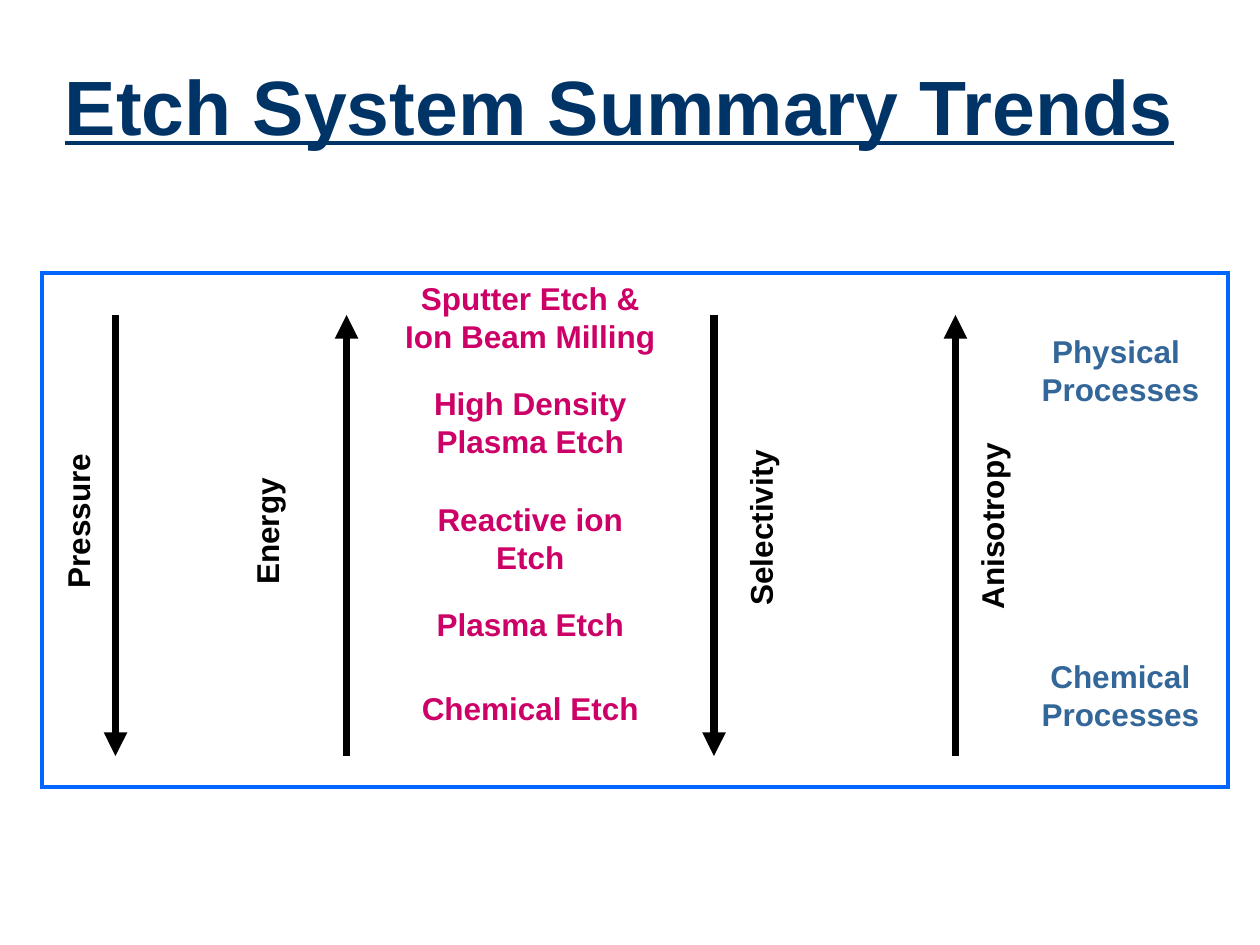
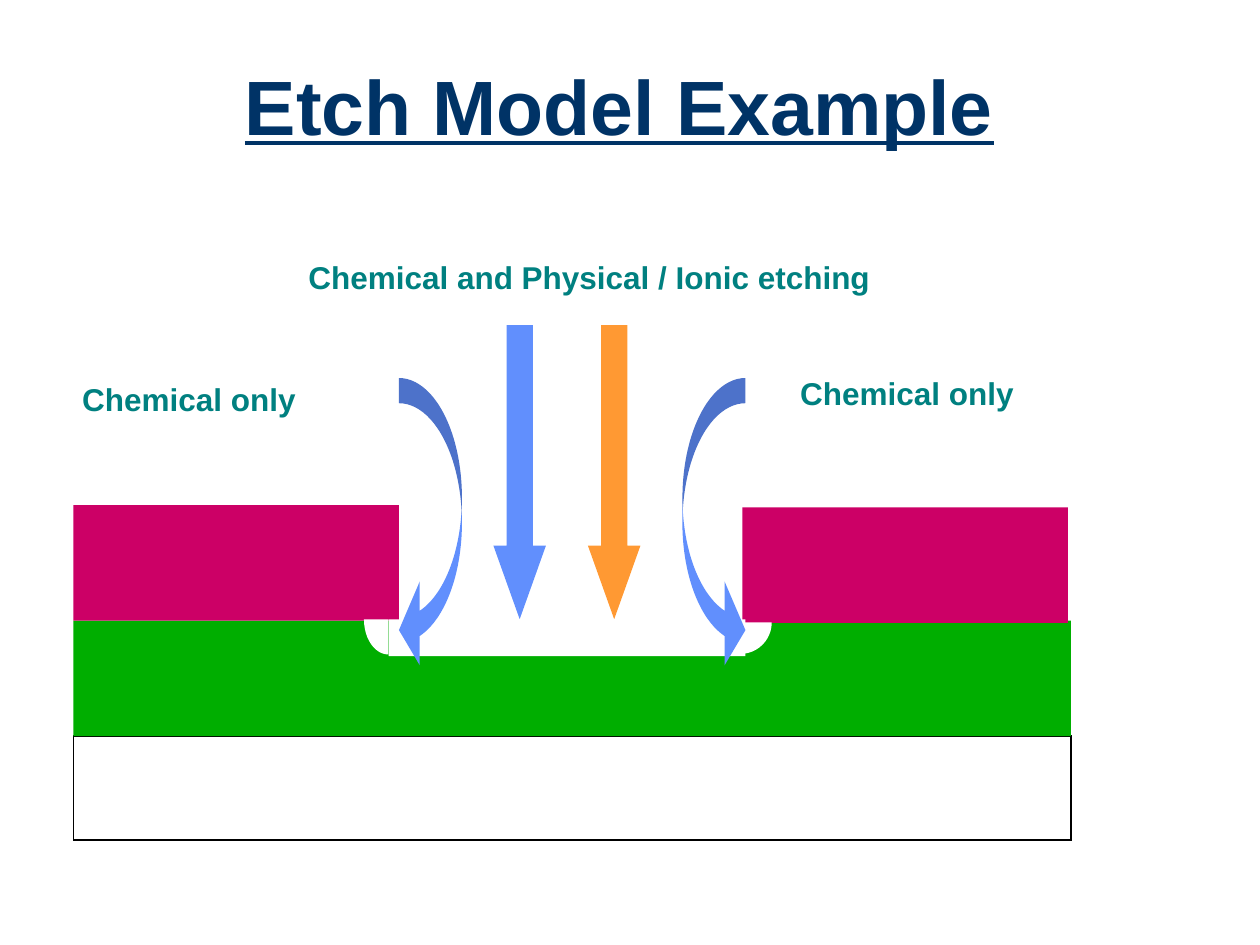
from lxml.etree import SubElement
from pptx import Presentation
from pptx.dml.color import RGBColor
from pptx.enum.shapes import MSO_CONNECTOR, MSO_SHAPE
from pptx.enum.text import MSO_ANCHOR, MSO_AUTO_SIZE, PP_ALIGN
from pptx.oxml.ns import qn
from pptx.util import Pt

# Shared colours and formats
NAVY, STEEL, TEAL, MAGENTA = "003366", "336699", "008080", "CC0066"
BLUE, ORANGE, GREEN = "618FFD", "FF9933", "00AE00"
FRAME, BLACK, WHITE = "0066FF", "000000", "FFFFFF"
TITLE = {"name": "Arial", "size": Pt(44), "bold": True, "underline": True}
LABEL = {"name": "Arial", "size": Pt(18), "bold": True}


def write(sp, text, fmt, color, wrap=True):
    tf = sp.text_frame
    tf.text = text
    tf.word_wrap = wrap
    tf.auto_size = MSO_AUTO_SIZE.NONE
    tf.vertical_anchor = MSO_ANCHOR.MIDDLE
    for p in tf.paragraphs:
        p.alignment = PP_ALIGN.CENTER
        for r in p.runs:
            for key, value in fmt.items():
                setattr(r.font, key, value)
            r.font.color.rgb = RGBColor.from_string(color)


def add_shape(s, kind, x, y, w, h, fill, line=None, width=1, adjustments=()):
    sp = s.shapes.add_shape(kind, Pt(x), Pt(y), Pt(w), Pt(h))
    sp.shadow.inherit = False
    for i, value in enumerate(adjustments):
        sp.adjustments[i] = value
    sp.fill.solid()
    sp.fill.fore_color.rgb = RGBColor.from_string(fill)
    if line:
        sp.line.color.rgb = RGBColor.from_string(line)
        sp.line.width = Pt(width)
        SubElement(sp._element.spPr.find(qn("a:ln")), qn("a:miter"), lim="800000")
    else:
        sp.line.fill.background()


prs = Presentation()
prs.slide_width, prs.slide_height = Pt(720), Pt(540)

# Slides with their titles
for heading in ("Etch System Summary Trends", "Etch Model Example"):
    s = prs.slides.add_slide(prs.slide_layouts[5])
    title = s.shapes.title
    title.left, title.top, title.width, title.height = Pt(18), Pt(18), Pt(672), Pt(90)
    write(title, heading, TITLE, NAVY)
    title.text_frame.paragraphs[0].line_spacing = 0.9
trends, model = prs.slides

# Slide 1: frame
add_shape(trends, MSO_SHAPE.RECTANGLE, 24, 156, 678, 294, WHITE, FRAME, 2.25)

# Trend arrows with upright labels: arrow x, start y, end y, label centre, width
TOP, BOTTOM = 180, 432
for name, x, y1, y2, cx, cy, w in (
    ("Pressure", 66, TOP, BOTTOM, 44.3, 297.8, 91.4),
    ("Energy", 198, BOTTOM, TOP, 152.3, 303.6, 75.6),
    ("Selectivity", 408, TOP, BOTTOM, 434.5, 301.5, 103),
    ("Anisotropy", 546, BOTTOM, TOP, 566.6, 300.7, 109.4),
):
    arrow = trends.shapes.add_connector(MSO_CONNECTOR.STRAIGHT, Pt(x), Pt(y1), Pt(x), Pt(y2))
    arrow.line.color.rgb = RGBColor.from_string(BLACK)
    arrow.line.width = Pt(4.5)
    spPr = arrow._element.spPr
    SubElement(spPr.find(qn("a:ln")), qn("a:tailEnd"), type="triangle")
    SubElement(spPr, qn("a:effectLst"))
    sp = trends.shapes.add_textbox(Pt(cx - w / 2), Pt(cy - 14.5), Pt(w), Pt(29))
    sp.rotation = 270
    write(sp, name, LABEL, BLACK, wrap=False)

# Process families at the two ends
for process, y in (("Physical \nProcesses", 186), ("Chemical\nProcesses", 372)):
    sp = trends.shapes.add_textbox(Pt(588), Pt(y), Pt(104.4), Pt(50.4))
    write(sp, process, LABEL, STEEL, wrap=False)

# Etch methods, from physical to chemical
for method, y, h in (
    ("Sputter Etch &\nIon Beam Milling", 156, 50.4),
    ("High Density Plasma Etch", 216, 50.4),
    ("Reactive ion Etch", 282, 50.4),
    ("Plasma Etch", 342, 29),
    ("Chemical Etch", 390, 29),
):
    sp = trends.shapes.add_textbox(Pt(222), Pt(y), Pt(162), Pt(h))
    write(sp, method, LABEL, MAGENTA)

# Slide 2: substrate, film and the two mask blocks
for x, y, w, h, fill, line in (
    (42, 420.5, 570, 59.4, WHITE, BLACK),
    (42, 354.7, 570, 66, GREEN, None),
    (42, 288.7, 186, 66, MAGENTA, None),
    (424.2, 290, 186, 66, MAGENTA, None),
):
    add_shape(model, MSO_SHAPE.RECTANGLE, x, y, w, h, fill, line)

# Ions and reactive species coming straight down
for x, fill in ((282, BLUE), (336, ORANGE)):
    add_shape(model, MSO_SHAPE.DOWN_ARROW, x, 185.8, 30, 168, fill, adjustments=(0.5, 1.4))

# Etched trench with an undercut at each side, angles in degrees
DEGREE = 0.6
for x, y, w, h, start, end in ((208, 334, 28, 40, 90, 180), (405, 337.7, 36, 36, 0, 90)):
    add_shape(model, MSO_SHAPE.ARC, x, y, w, h, WHITE,
              adjustments=(start * DEGREE, end * DEGREE))
add_shape(model, MSO_SHAPE.RECTANGLE, 222, 354, 204, 21, WHITE)

# Reactive species curving in under the mask
for kind, x in ((MSO_SHAPE.CURVED_LEFT_ARROW, 228), (MSO_SHAPE.CURVED_RIGHT_ARROW, 390)):
    add_shape(model, kind, x, 216, 36, 168, BLUE, adjustments=(0.4, 1.33, 0.33))

# Captions
for caption, x, y, w in (
    ("Chemical and Physical / Ionic etching", 169, 144, 335.5),
    ("Chemical only", 40, 213.6, 136),
    ("Chemical only", 450.3, 210, 136),
):
    sp = model.shapes.add_textbox(Pt(x), Pt(y), Pt(w), Pt(29))
    write(sp, caption, LABEL, TEAL, wrap=False)

prs.save("out.pptx")
